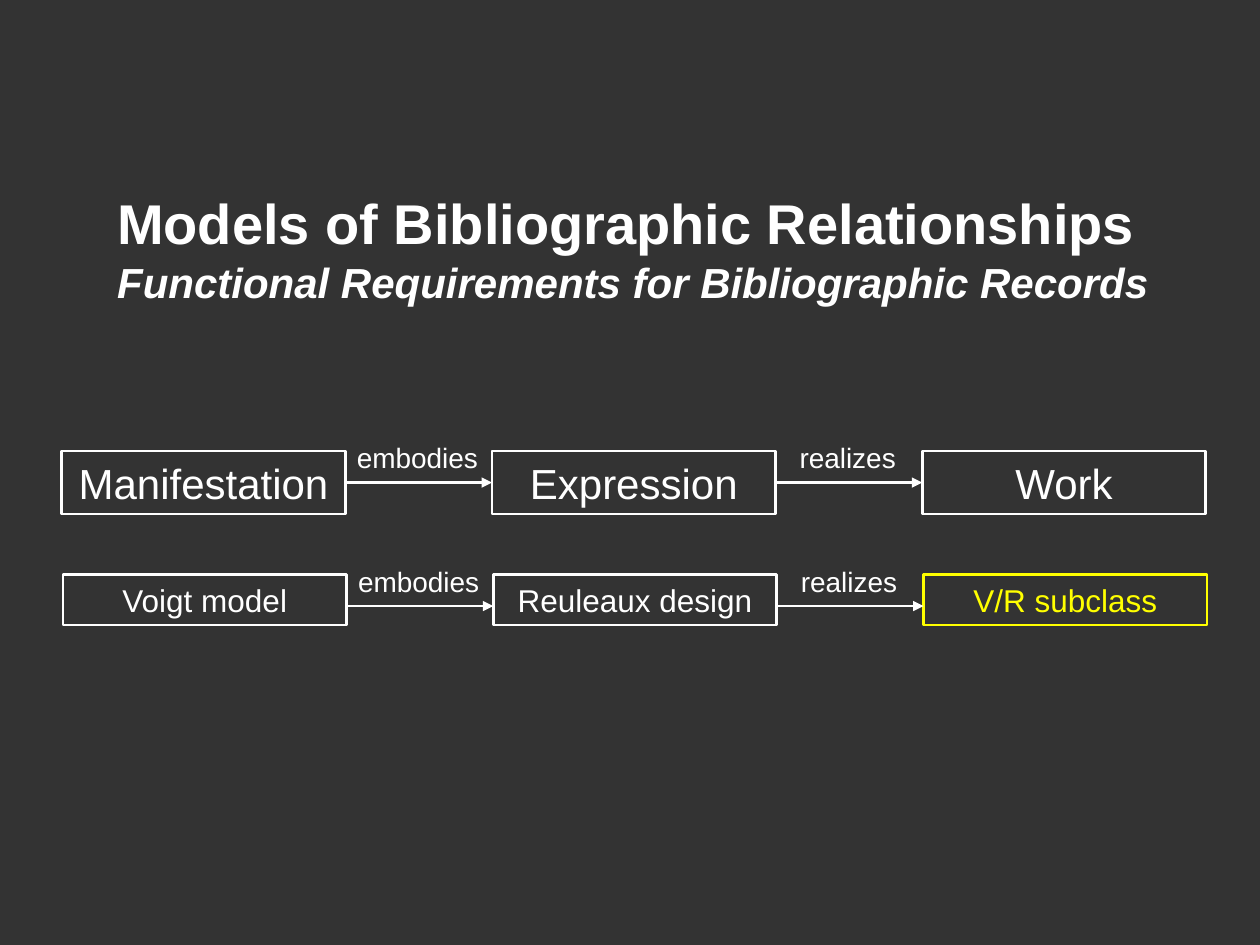
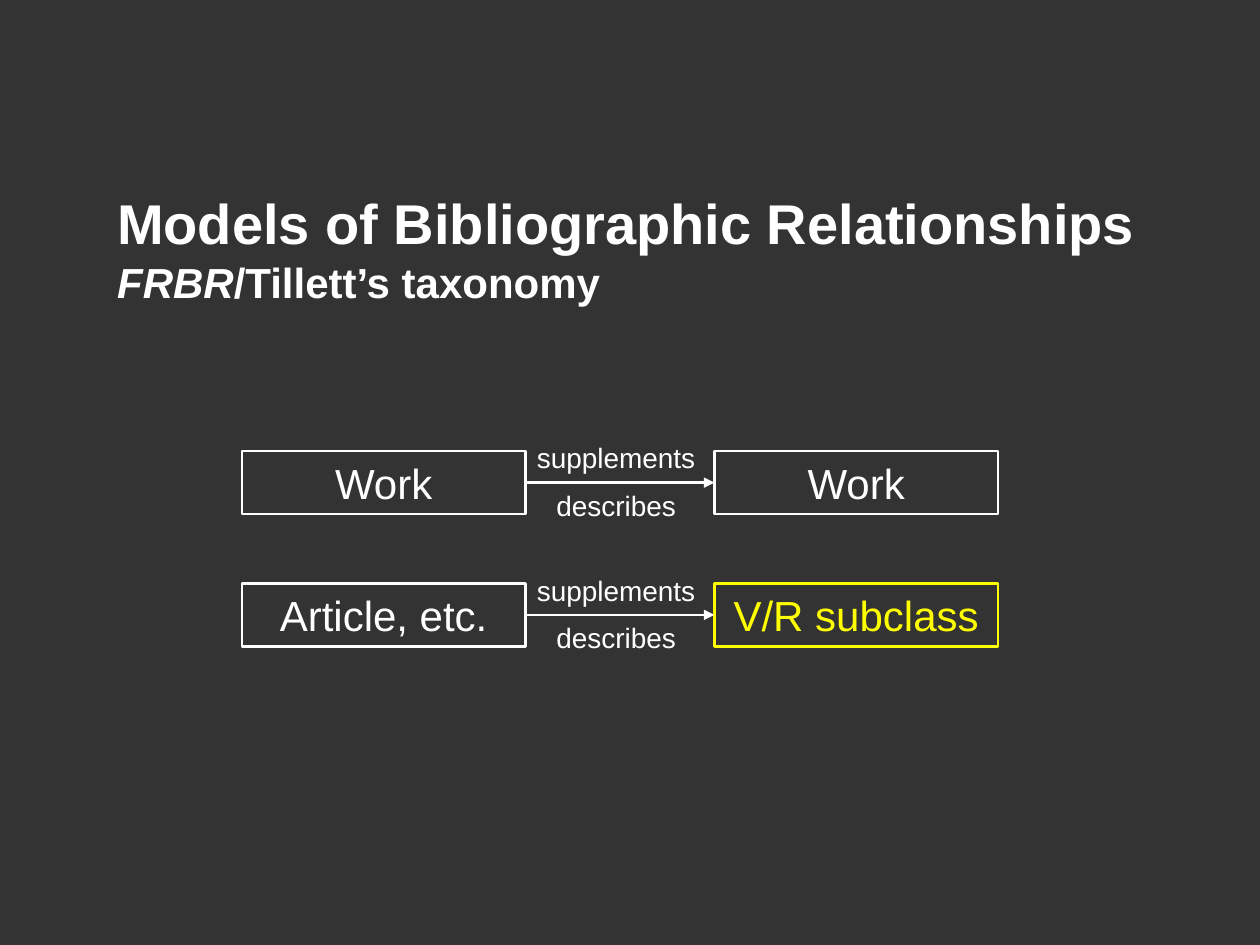
from lxml.etree import SubElement
from pptx import Presentation
from pptx.dml.color import RGBColor
from pptx.enum.shapes import MSO_CONNECTOR, MSO_SHAPE
from pptx.enum.text import MSO_ANCHOR, MSO_AUTO_SIZE, PP_ALIGN
from pptx.oxml.ns import qn
from pptx.util import Inches, Pt

BACKGROUND, WHITE, YELLOW = "333333", "FFFFFF", "FFFF00"
FONT = "Arial"
TITLE = "Models of Bibliographic Relationships"
BOX_WIDTH, LABEL_HEIGHT = 2.25, 0.37
ARROW_DROP = 0.25  # from the top of a box down to its arrow


def paint(target, color):
    """Give a fill, line or font format one solid colour."""
    if hasattr(target, "solid"):
        target.solid()
        target.fore_color.rgb = RGBColor.from_string(color)
    else:
        target.color.rgb = RGBColor.from_string(color)


def write(shape, text, size, color):
    """Put one centred line at the top of a shape."""
    frame = shape.text_frame
    frame.text = text
    frame.word_wrap = False
    frame.auto_size = MSO_AUTO_SIZE.NONE
    frame.vertical_anchor = MSO_ANCHOR.TOP
    para = frame.paragraphs[0]
    para.alignment = PP_ALIGN.CENTER
    font = para.runs[0].font
    font.name, font.size = FONT, Pt(size)
    paint(font, color)


# Subtitle spans are (text, italic). Rows are (left, top, box height, text size, box names).
# Each arrow has the labels above and below it.
slides = [
    {
        "subtitle": [("Functional Requirements for Bibliographic Records", True)],
        "pitch": 3.415,
        "label_shift": -0.01,
        "arrows": [["embodies"], ["realizes"]],
        "rows": [
            (0.49, 3.58, 0.5, 24, ["Manifestation", "Expression", "Work"]),
            (0.5, 4.56, 0.4, 18, ["Voigt model", "Reuleaux design", "V/R subclass"]),
        ],
    },
    {
        "subtitle": [("FRBR", True), ("/Tillett’s taxonomy", False)],
        "pitch": 3.75,
        "label_shift": -0.03,
        "arrows": [["supplements", "describes"]],
        "rows": [
            (1.92, 3.58, 0.5, 24, ["Work", "Work"]),
            (1.92, 4.63, 0.5, 24, ["Article, etc.", "V/R subclass"]),
        ],
    },
]

deck = Presentation()
deck.slide_width, deck.slide_height = Inches(10), Inches(7.5)
master = deck.slide_master
paint(master.background.fill, BACKGROUND)
title_style = master.element.find(".//" + qn("p:titleStyle") + "/" + qn("a:lvl1pPr"))
title_style.set("algn", "l")
title_style.find(qn("a:defRPr")).set("sz", "3200")

for content in slides:
    page = deck.slides.add_slide(deck.slide_layouts.get_by_name("Title Only"))

    title = page.shapes.title
    title.left, title.top = Inches(0.83), Inches(1.34)
    title.width, title.height = Inches(8.5), Inches(1.25)
    title.text_frame.vertical_anchor = MSO_ANCHOR.MIDDLE
    title.text_frame.auto_size = MSO_AUTO_SIZE.NONE
    title.text_frame.text = TITLE
    para = title.text_frame.paragraphs[0]
    para.runs[0].font.size = Pt(32)
    para.add_line_break()
    for text, italic in content["subtitle"]:
        span = para.add_run()
        span.text = text
        span.font.size, span.font.italic = Pt(24), italic
    for span in para.runs:
        span.font.name, span.font.bold = FONT, True
        paint(span.font, WHITE)

    for left, top, height, size, names in content["rows"]:
        row = page.shapes.add_group_shape().shapes
        for column, name in enumerate(names):
            color = YELLOW if name == "V/R subclass" else WHITE
            box = row.add_shape(
                MSO_SHAPE.RECTANGLE, Inches(left + column * content["pitch"]),
                Inches(top), Inches(BOX_WIDTH), Inches(height))
            box.shadow.inherit = False
            box.fill.background()
            box.line.width = Pt(1.5)
            paint(box.line, color)
            write(box, name, size, color)

        arrow_y = top + ARROW_DROP
        gap = content["pitch"] - BOX_WIDTH
        for column, labels in enumerate(content["arrows"]):
            start = left + column * content["pitch"] + BOX_WIDTH
            arrow = row.add_connector(
                MSO_CONNECTOR.STRAIGHT, Inches(start), Inches(arrow_y),
                Inches(start + gap), Inches(arrow_y))
            arrow.line.width = Pt(1.5)
            paint(arrow.line, WHITE)
            SubElement(arrow.line._get_or_add_ln(), qn("a:tailEnd"), type="triangle")
            SubElement(arrow._element.spPr, qn("a:effectLst"))

            for position, text in enumerate(labels):
                label_top = arrow_y if position else arrow_y - LABEL_HEIGHT - 0.01
                label = row.add_textbox(
                    Inches(start + content["label_shift"]), Inches(label_top),
                    Inches(gap), Inches(LABEL_HEIGHT))
                write(label, text, 16, WHITE)

deck.save("out.pptx")
